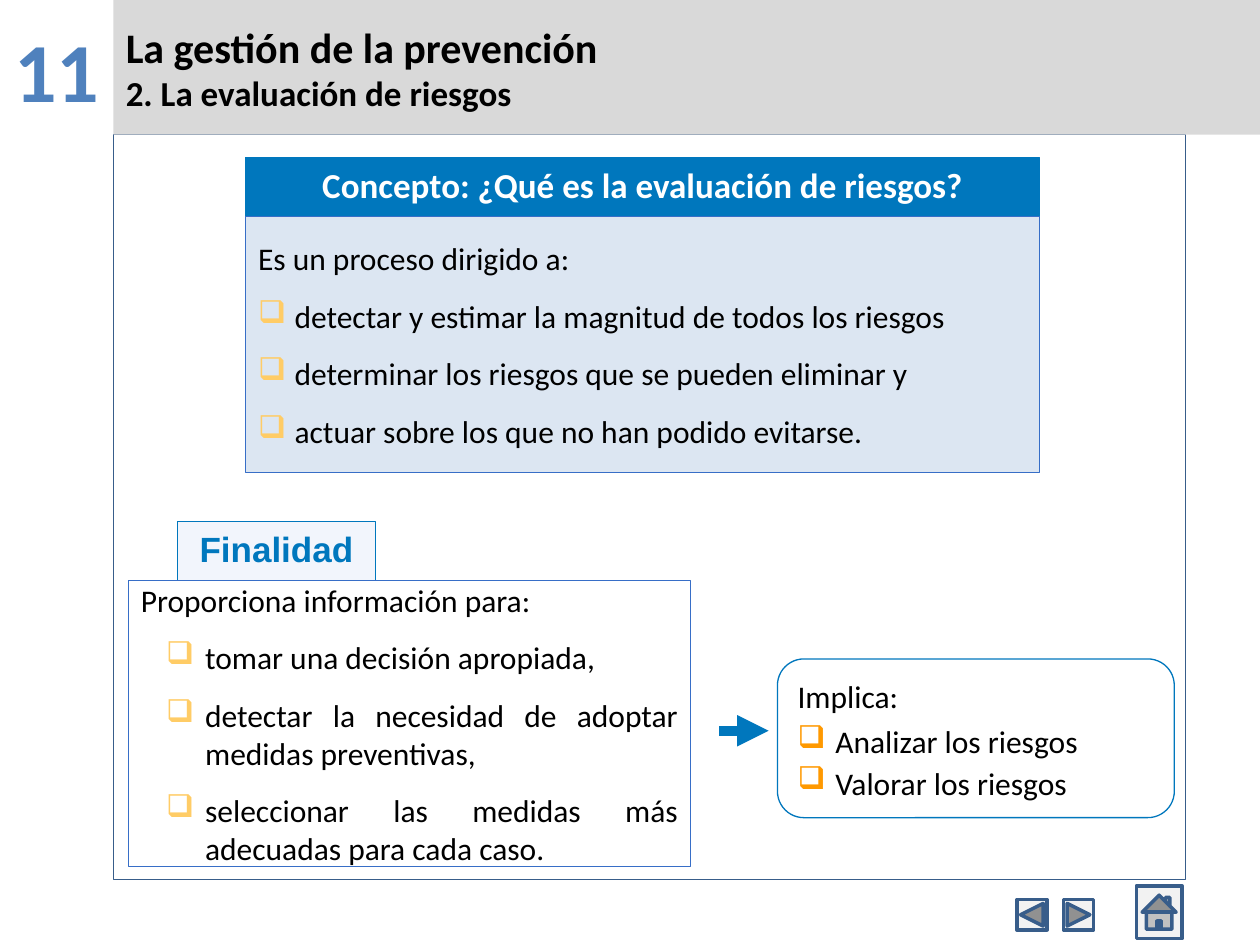
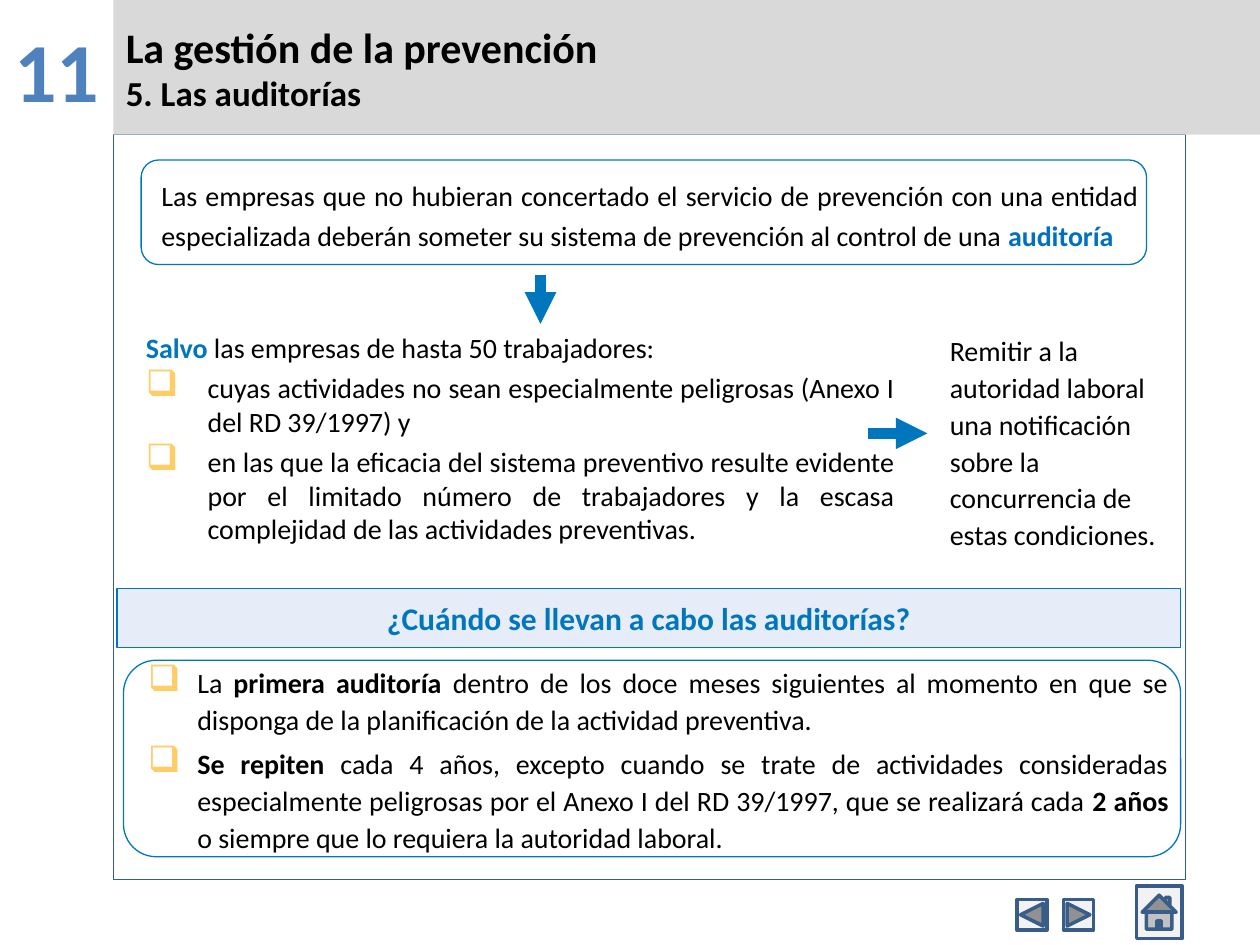
"""Builds two slides on risk prevention: risk assessment and audits."""
import dataclasses

import lxml.etree
import pptx
import pptx.dml.color
import pptx.enum.shapes
import pptx.enum.text
import pptx.oxml.ns
import pptx.util

Inches = pptx.util.Inches
Pt = pptx.util.Pt
Shape = pptx.enum.shapes.MSO_SHAPE
Align = pptx.enum.text.PP_ALIGN
Anchor = pptx.enum.text.MSO_ANCHOR
rgb = pptx.dml.color.RGBColor.from_string
qn = pptx.oxml.ns.qn


@dataclasses.dataclass(frozen=True)
class Theme:
    font: str = "Calibri"
    label_font: str = "Arial"
    black: str = "000000"
    white: str = "FFFFFF"
    blue: str = "0077BD"
    audit_blue: str = "0070C0"
    number_blue: str = "4F81BD"
    frame_blue: str = "385D8A"
    panel_line: str = "376EC7"
    panel_fill: str = "DCE6F2"
    label_fill: str = "F2F5FC"
    question_fill: str = "E6EDF8"
    band: str = "D9D9D9"
    button: str = "F2F2F2"
    yellow: str = "FFCC66"
    orange: str = "FF9900"
    number: int = 48
    title: int = 24
    heading: int = 20
    body: int = 18
    small: int = 16


theme = Theme()


def add_box(page, kind, area, fill=None, line=None, width=0.75,
            anchor=Anchor.TOP, insets=(0.1, 0.05, 0.1, 0.05)):
    box = page.shapes.add_shape(kind, *map(Inches, area))
    box.shadow.inherit = False
    if fill:
        box.fill.solid()
        box.fill.fore_color.rgb = rgb(fill)
    else:
        box.fill.background()
    if line:
        box.line.color.rgb = rgb(line)
        box.line.width = Pt(width)
    else:
        box.line.fill.background()
    frame = box.text_frame
    frame.word_wrap = True
    frame.vertical_anchor = anchor
    frame.margin_left, frame.margin_top, frame.margin_right, frame.margin_bottom = map(Inches, insets)
    return box


def add_para(box, spans, size=theme.body, font=theme.font, color=theme.black, bold=False,
             align=Align.LEFT, indent=(0, 0), spacing=1.0, before=0, after=0,
             bullet=None, bullet_size=100):
    frame = box.text_frame
    first = not frame.paragraphs[0].runs
    para = frame.paragraphs[0] if first else frame.add_paragraph()
    properties = para._p.get_or_add_pPr()
    properties.set("marL", str(Inches(indent[0])))
    properties.set("indent", str(Inches(indent[1])))
    if bullet:
        bullet_color = lxml.etree.SubElement(properties, qn("a:buClr"))
        lxml.etree.SubElement(bullet_color, qn("a:srgbClr"), val=bullet)
        lxml.etree.SubElement(properties, qn("a:buSzPct"), val=str(bullet_size * 1000))
        lxml.etree.SubElement(properties, qn("a:buChar"), char="❑")
    para.alignment = align
    para.line_spacing = spacing
    para.space_before = Pt(0 if first else before)
    para.space_after = Pt(after)
    for text, changes in spans:
        span = para.add_run()
        span.text = text
        span.font.name = font
        span.font.size = Pt(size)
        span.font.bold = changes.get("bold", bold)
        span.font.color.rgb = rgb(changes.get("color", color))


deck = pptx.Presentation()
deck.slide_width, deck.slide_height = Inches(10), Inches(7.5)

strong = {"bold": True}
buttons = (
    (Shape.ACTION_BUTTON_BACK_OR_PREVIOUS, (8.07, 7.14, 0.24, 0.24)),
    (Shape.ACTION_BUTTON_FORWARD_OR_NEXT, (8.44, 7.14, 0.24, 0.24)),
    (Shape.ACTION_BUTTON_HOME, (9.02, 7.03, 0.36, 0.42)),
)
topics = (
    ("2. La evaluación de riesgos", [((5.71, 5.8), (6.1, 5.8))]),
    ("5. Las auditorías", [((4.29, 2.18), (4.29, 2.57)), ((6.89, 3.44), (7.36, 3.44))]),
)
pages = []
for topic, arrows in topics:
    page = deck.slides.add_slide(deck.slide_layouts[6])
    pages.append(page)
    number = add_box(page, Shape.RECTANGLE, (0, 0, 0.9, 1), anchor=Anchor.BOTTOM)
    add_para(number, [("11", {})], theme.number, color=theme.number_blue, bold=True, align=Align.CENTER)
    add_box(page, Shape.RECTANGLE, (0.9, 1.07, 8.51, 5.91), line=theme.frame_blue)
    band = add_box(page, Shape.RECTANGLE, (0.9, 0, 9.1, 1.07), theme.band, anchor=Anchor.MIDDLE)
    add_para(band, [("La gestión de la prevención", {})], theme.title, bold=True)
    add_para(band, [(topic, {})], theme.heading, bold=True)
    for kind, area in buttons:
        add_box(page, kind, area, theme.button, theme.frame_blue, 2)
    for start, end in arrows:
        arrow = page.shapes.add_connector(
            pptx.enum.shapes.MSO_CONNECTOR.STRAIGHT, *map(Inches, start + end))
        arrow.line.color.rgb = rgb(theme.blue)
        arrow.line.width = Pt(6)
        lxml.etree.SubElement(arrow.line._get_or_add_ln(), qn("a:tailEnd"), type="triangle")
        lxml.etree.SubElement(arrow._element.spPr, qn("a:effectLst"))

assessment, audits = pages
deep = (0.1, 0.09, 0.1, 0.09)
thin = (0.02, 0.01, 0.02, 0.01)

concept = add_box(assessment, Shape.RECTANGLE, (1.95, 1.25, 6.3, 0.47), theme.blue, theme.blue)
add_para(concept, [("Concepto: ¿Qué es la evaluación de riesgos?", {})], theme.heading,
         color=theme.white, bold=True, align=Align.CENTER)

process = add_box(assessment, Shape.RECTANGLE, (1.95, 1.72, 6.3, 2.03), theme.panel_fill,
                  theme.panel_line, anchor=Anchor.MIDDLE, insets=deep)
airy = {"align": Align.JUSTIFY, "before": 5.6, "after": 5.6}
add_para(process, [("Es un proceso dirigido a:", {})], **airy)
for aim in ("detectar y estimar la magnitud de todos los riesgos",
            "determinar los riesgos que se pueden eliminar y",
            "actuar sobre los que no han podido evitarse."):
    add_para(process, [(aim, {})], indent=(0.29, -0.29), bullet=theme.yellow, **airy)

label = add_box(assessment, Shape.RECTANGLE, (1.41, 4.14, 1.57, 0.47), theme.label_fill, theme.blue)
add_para(label, [("Finalidad", {})], theme.heading, theme.label_font, theme.blue, True, Align.CENTER)

purpose = add_box(assessment, Shape.RECTANGLE, (1.02, 4.61, 4.46, 2.27), line=theme.panel_line,
                  anchor=Anchor.MIDDLE, insets=deep)
add_para(purpose, [("Proporciona información para:", {})], **airy)
for use in ("tomar una decisión apropiada,",
            "detectar la necesidad de adoptar medidas preventivas,",
            "seleccionar las medidas más adecuadas para cada caso."):
    add_para(purpose, [(use, {})], indent=(0.51, -0.31), bullet=theme.yellow, **airy)

implies = add_box(assessment, Shape.ROUNDED_RECTANGLE, (6.17, 5.23, 3.15, 1.26), line=theme.blue,
                  insets=(0.1, 0.05, 0.1, 0.01))
add_para(implies, [("Implica:", {})], spacing=1.1)
for task, spacing in (("Analizar los riesgos", 1.2), ("Valorar los riesgos", 1.1)):
    add_para(implies, [(task, {})], indent=(0.3, -0.3), spacing=spacing, bullet=theme.orange)

duty = add_box(audits, Shape.ROUNDED_RECTANGLE, (1.12, 1.27, 7.98, 0.83), line=theme.blue,
               anchor=Anchor.MIDDLE, insets=thin)
add_para(duty, [
    ("Las empresas que no hubieran concertado el servicio de prevención con una entidad "
     "especializada deberán someter su sistema de prevención al control de una ", {}),
    ("auditoría", {"bold": True, "color": theme.audit_blue}),
], theme.small, align=Align.JUSTIFY, indent=(0.1, 0), spacing=1.2)

exempt = add_box(audits, Shape.RECTANGLE, (1.06, 2.57, 6.14, 1.81))
listed = {"size": theme.small, "align": Align.JUSTIFY, "before": 4}
marked = {"bullet": theme.yellow, "bullet_size": 130, **listed}
add_para(exempt, [("Salvo", {"bold": True, "color": theme.blue}),
                  (" las empresas de hasta 50 trabajadores:", {})], **listed)
for condition in (
        "cuyas actividades no sean especialmente peligrosas (Anexo I del RD 39/1997) y",
        "en las que la eficacia del sistema preventivo resulte evidente por el limitado número "
        "de trabajadores y la escasa complejidad de las actividades preventivas."):
    add_para(exempt, [(condition, {})], indent=(0.49, -0.49), **marked)

notice = add_box(audits, Shape.RECTANGLE, (7.44, 2.57, 1.89, 1.89))
add_para(notice, [("Remitir a la autoridad laboral una notificación sobre la concurrencia de "
                   "estas condiciones.", {})], theme.small, spacing=1.1)

question = add_box(audits, Shape.RECTANGLE, (0.93, 4.67, 8.44, 0.47), theme.question_fill,
                   theme.blue, anchor=Anchor.MIDDLE, insets=deep)
add_para(question, [("¿Cuándo se llevan a cabo las auditorías?", {})], color=theme.blue,
         bold=True, align=Align.CENTER)

schedule = add_box(audits, Shape.ROUNDED_RECTANGLE, (0.98, 5.24, 8.39, 1.56), line=theme.blue,
                   anchor=Anchor.MIDDLE, insets=thin)
for spans in (
        [("La ", {}), ("primera auditoría ", strong),
         ("dentro de los doce meses siguientes al momento en que se disponga de la "
          "planificación de la actividad preventiva.", {})],
        [("Se repiten ", strong),
         ("cada 4 años, excepto cuando se trate de actividades consideradas especialmente "
          "peligrosas por el Anexo I del RD 39/1997, que se realizará cada ", {}),
         ("2 años", strong), (" o siempre que lo requiera la autoridad laboral.", {})]):
    add_para(schedule, spans, indent=(0.49, -0.39), spacing=1.1, **marked)

deck.save("out.pptx")
